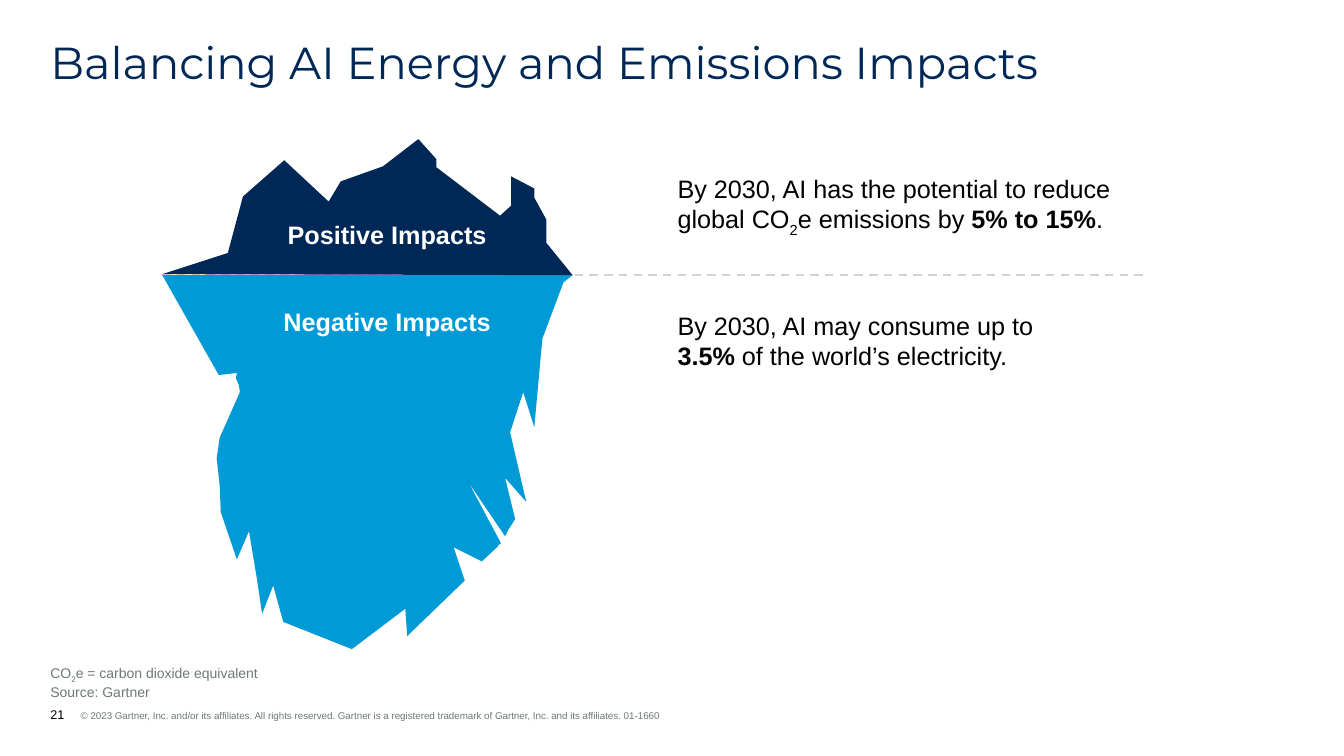
from pptx import Presentation
from pptx.dml.color import RGBColor
from pptx.enum.dml import MSO_LINE
from pptx.enum.shapes import MSO_CONNECTOR
from pptx.enum.text import MSO_ANCHOR, PP_ALIGN
from pptx.oxml.ns import qn
from pptx.util import Pt
from lxml import etree

PX = 9144
DASH = MSO_LINE.DASH
STRAIGHT = MSO_CONNECTOR.STRAIGHT
TOP, BOTTOM = MSO_ANCHOR.TOP, MSO_ANCHOR.BOTTOM
LEFT, CENTER = PP_ALIGN.LEFT, PP_ALIGN.CENTER
COLORS = {
    "navy": "002856",
    "blue": "009AD7",
    "gray": "6F7878",
    "rule": "D3D3D3",
    "black": "000000",
    "white": "FFFFFF",
}
BOLD = {"bold": True}
SUBSCRIPT = {"baseline": -25000}

TIP = [
    (161, 272), (226, 251), (241, 195), (282, 159), (326, 200), (338, 180),
    (380, 165), (415, 138), (433, 158), (433, 166), (496, 214), (507, 204),
    (507, 175), (530, 187), (530, 196), (542, 218), (542, 241), (568, 273),
]
UNDERWATER = [
    (161, 273), (217, 372), (218, 372), (235, 370), (234, 375), (237, 382),
    (238, 389), (227, 414), (218, 434), (215, 455), (218, 482), (219, 508),
    (235, 555), (247, 527), (255, 575), (260, 609), (271, 581), (281, 617),
    (349, 644), (402, 604), (404, 631), (461, 576), (450, 543), (478, 557),
    (494, 542), (494, 541), (497, 539), (465, 479), (501, 532), (504, 526),
    (511, 515), (501, 474), (522, 498), (506, 429), (519, 389), (530, 424),
    (538, 336), (559, 280), (568, 273),
]


def color(name):
    return RGBColor.from_string(COLORS[name])


class Page:
    def __init__(self, deck):
        self.shapes = deck.slides.add_slide(deck.slide_layouts[6]).shapes
        self.font = "Arial"

    def span(self, para, text, size, ink, font, baseline=0, bold=False):
        span = para.add_run()
        span.text = text
        values = {"name": font, "size": Pt(size), "bold": bold}
        for name, value in values.items():
            setattr(span.font, name, value)
        span.font.color.rgb = color(ink)
        if baseline:
            span.font._element.set("baseline", str(baseline))

    def text(self, area, paragraphs, size, ink, font=None, align=LEFT,
             anchor=TOP, spacing=None, hanging=0):
        box = self.shapes.add_textbox(*(value * PX for value in area))
        frame = box.text_frame
        values = {"margin_left": 0, "margin_top": 0, "margin_right": 0,
                  "margin_bottom": 0, "word_wrap": True,
                  "vertical_anchor": anchor}
        for name, value in values.items():
            setattr(frame, name, value)
        for index, lines in enumerate(paragraphs):
            para = frame.add_paragraph() if index else frame.paragraphs[0]
            para.alignment = align
            if spacing:
                para.line_spacing = spacing
            if hanging:
                properties = para._p.get_or_add_pPr()
                properties.set("marL", str(hanging * PX))
                properties.set("indent", str(-hanging * PX))
            for row, line in enumerate(lines):
                if row:
                    para.add_line_break()
                for text, changes in line:
                    values = {"size": size, "ink": ink,
                              "font": font or self.font, **changes}
                    self.span(para, text, **values)

    def outline(self, points, fill):
        builder = self.shapes.build_freeform(*points[0], scale=PX)
        builder.add_line_segments(points[1:], close=True)
        shape = builder.convert_to_shape()
        shape.shadow.inherit = False
        shape.fill.solid()
        shape.fill.fore_color.rgb = color(fill)
        shape.line.fill.background()

    def dashed_line(self, left, right, level, ink, width):
        rule = self.shapes.add_connector(
            STRAIGHT, left * PX, level * PX, right * PX, level * PX)
        rule.line.color.rgb = color(ink)
        rule.line.width = Pt(width)
        rule.line.dash_style = DASH
        etree.SubElement(rule._element.spPr, qn("a:effectLst"))


def main():
    deck = Presentation()
    deck.slide_width, deck.slide_height = 1333 * PX, 750 * PX
    page = Page(deck)

    page.text((50, 701, 785, 15), [[[
        ("21", {"size": 9, "ink": "black"}),
        ("\t© 2023 Gartner, Inc. and/or its affiliates. All rights reserved. "
         "Gartner is a registered trademark of Gartner, Inc. and its "
         "affiliates. 01-1660", {}),
    ]]], 7, "gray", anchor=BOTTOM, hanging=30)
    page.text((50, 40, 1233, 48),
              [[[("Balancing AI Energy and Emissions Impacts", {})]]],
              32, "navy", font="Montserrat", spacing=0.9)

    page.dashed_line(161, 1138, 273, "rule", 1.5)
    page.text((672, 308, 466, 63), [[
        [("By 2030, AI may consume up to ", {})],
        [("3.5% ", BOLD), ("of the world’s electricity.", {})],
    ]], 18, "black")
    page.text((672, 172, 547, 63), [[
        [("By 2030, AI has the potential to reduce ", {})],
        [("global CO", {}), ("2", SUBSCRIPT), ("e emissions by ", {}),
         ("5% to 15%", BOLD), (".", {})],
    ]], 18, "black")

    page.outline(UNDERWATER, "blue")
    page.outline(TIP, "navy")
    for label, top in (("Negative Impacts", 304), ("Positive Impacts", 218)):
        page.text((246, top, 276, 30), [[[(label, BOLD)]]],
                  18, "white", align=CENTER)

    page.text((50, 648, 1028, 47), [
        [[("CO", {}), ("2", SUBSCRIPT),
          ("e = carbon dioxide equivalent", {})]],
        [[("Source: Gartner", {})]],
    ], 10, "gray", anchor=BOTTOM)
    deck.save("out.pptx")


if __name__ == "__main__":
    main()
